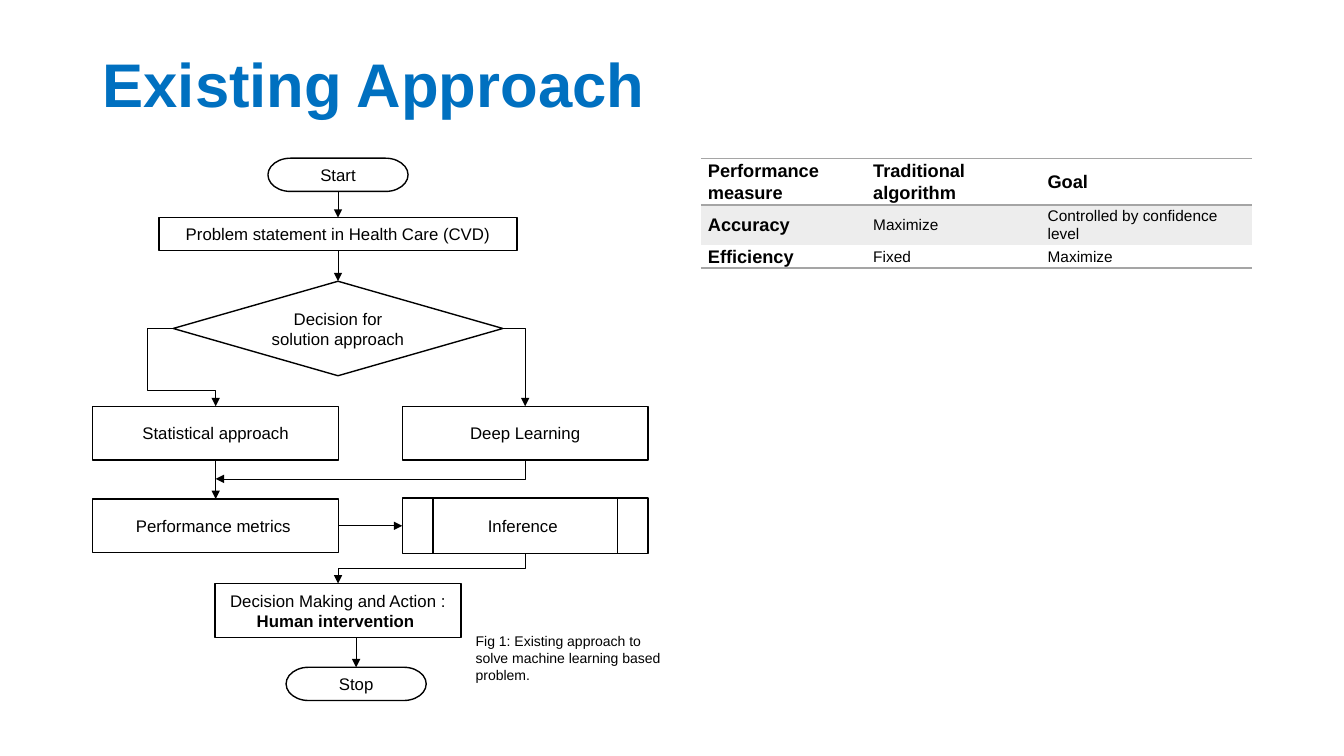
from lxml import etree
from pptx import Presentation, util as u
from pptx.dml import color
from pptx.enum import shapes, text
from pptx.oxml import ns

KIND = shapes.MSO_SHAPE
TOP, LEFT, BOTTOM, RIGHT = range(4)
SITES = {TOP: (0.5, 0), LEFT: (0, 0.5), BOTTOM: (0.5, 1), RIGHT: (1, 0.5)}


def rgb(value):
    return color.RGBColor.from_string(value)


def sub(parent, tag, **attrs):
    return etree.SubElement(parent, ns.qn(tag), attrs)


class Slide:
    font, ink, accent, rule, band = "Arial", "000000", "0070C0", "A5A5A5", "EDEDED"

    def __init__(self, prs):
        self.prs = prs
        self.s = prs.slides.add_slide(prs.slide_layouts[6])

    def x(self, share):
        return round(self.prs.slide_width * share / 100)

    def y(self, share):
        return round(self.prs.slide_height * share / 100)

    def box(self, left, top, width, height):
        return self.x(left), self.y(top), self.x(width), self.y(height)

    def add_runs(self, tf, runs, size, bold=False, tint=None, align=None, spacing=None):
        tf.word_wrap = True
        p = tf.paragraphs[0]
        p.alignment = align
        p.line_spacing = spacing
        for i, words in enumerate(runs):
            r = p.add_run()
            r.text = words
            r.font.name, r.font.size = self.font, u.Pt(size)
            r.font.bold = bold or i > 0
            r.font.color.rgb = rgb(tint or self.ink)

    def label(self, area, words, size, middle=False, **style):
        tf = self.s.shapes.add_textbox(*self.box(*area)).text_frame
        tf.vertical_anchor = text.MSO_ANCHOR.MIDDLE if middle else text.MSO_ANCHOR.TOP
        self.add_runs(tf, [words], size, **style)

    def step(self, kind, center, top, width, height, *runs):
        area = self.box(center - width / 2, top, width, height)
        sp = self.s.shapes.add_shape(kind, *area)
        sp.shadow.inherit = False
        sp.fill.background()
        sp.line.color.rgb, sp.line.width = rgb(self.ink), u.Pt(1)
        sp.text_frame.vertical_anchor = text.MSO_ANCHOR.MIDDLE
        self.add_runs(sp.text_frame, runs, 12, align=text.PP_ALIGN.CENTER)
        return sp

    def point(self, end):
        sp, site = end
        if isinstance(sp, (int, float)):
            return self.x(sp), self.y(site)
        fx, fy = SITES[site]
        return round(sp.left + sp.width * fx), round(sp.top + sp.height * fy)

    def arrow(self, start, end, bend=None, turn=0, adjust=()):
        (x1, y1), (x2, y2) = self.point(start), self.point(end)
        kind = shapes.MSO_CONNECTOR.ELBOW if bend else shapes.MSO_CONNECTOR.STRAIGHT
        c = self.s.shapes.add_connector(kind, x1, y1, x2, y2)
        for (sp, site), connect in ((start, c.begin_connect), (end, c.end_connect)):
            if not isinstance(sp, (int, float)):
                connect(sp, site)
        c.line.color.rgb, c.line.width = rgb(self.ink), u.Pt(0.5)
        spPr = c._element.spPr
        if bend:
            self.route(c, spPr, (x1, y1, x2, y2), bend, turn, adjust)
        sub(spPr.find(ns.qn("a:ln")), "a:tailEnd", type="triangle")
        sub(spPr, "a:effectLst")

    def route(self, c, spPr, ends, bend, turn, adjust):
        x1, y1, x2, y2 = ends
        w, h = abs(x2 - x1), abs(y2 - y1)
        if turn == 90:
            w, h = h, w
        c.left, c.top = (x1 + x2 - w) // 2, (y1 + y2 - h) // 2
        c.width, c.height = w, h
        xfrm = spPr.find(ns.qn("a:xfrm"))
        for flip in ("flipH", "flipV"):
            xfrm.attrib.pop(flip, None)
            if turn == 180:
                xfrm.set(flip, "1")
        xfrm.set("rot", str(turn * 60000))
        geom = spPr.find(ns.qn("a:prstGeom"))
        geom.set("prst", f"bentConnector{bend}")
        guides = geom.find(ns.qn("a:avLst"))
        for i, share in enumerate(adjust, 1):
            sub(guides, "a:gd", name=f"adj{i}", fmla=f"val {round(share * 100000)}")

    def border(self, cell, side):
        ln = sub(cell._tc.get_or_add_tcPr(), side, w=str(u.Pt(1)))
        sub(sub(ln, "a:solidFill"), "a:srgbClr", val=self.rule)

    def table(self, left, top, widths, heights, rows):
        area = self.box(left, top, sum(widths), sum(heights))
        table = self.s.shapes.add_table(len(rows), len(widths), *area).table
        table.first_row = table.horz_banding = False
        style = table._tbl.tblPr.find(ns.qn("a:tableStyleId"))
        style.text = "{2D5ABB26-0587-4C30-8999-92F81FD0307C}"
        for column, width in zip(table.columns, widths):
            column.width = self.x(width)
        for row, height in zip(table.rows, heights):
            row.height = self.y(height)
        for i, row in enumerate(rows):
            for j, words in enumerate(row):
                self.cell(table.cell(i, j), words, i, j, len(rows) - 1)

    def cell(self, cell, words, i, j, last):
        if i == 0:
            self.border(cell, "a:lnT")
        if i in (0, last):
            self.border(cell, "a:lnB")
        if i % 2:
            cell.fill.solid()
            cell.fill.fore_color.rgb = rgb(self.band)
        else:
            cell.fill.background()
        cell.margin_left = cell.margin_right = u.Inches(0.07)
        cell.margin_top = cell.margin_bottom = 0
        cell.vertical_anchor = text.MSO_ANCHOR.MIDDLE
        head = i == 0 or j == 0
        self.add_runs(cell.text_frame, [words], 13 if head else 11, bold=head, spacing=1.07)


prs = Presentation()
prs.slide_width, prs.slide_height = u.Inches(13.33), u.Inches(7.5)
s = Slide(prs)

s.label((6.9, 4.67, 86.27, 13.87), "Existing Approach", 44, middle=True,
        bold=True, tint=s.accent, spacing=0.9)

west, middle, east, foot = 16.05, 25.15, 39.08, 26.5
wide, tall = 18.3, 7.1
pill = (10.43, 4.4)

start = s.step(KIND.FLOWCHART_TERMINATOR, middle, 20.93, *pill, "Start")
problem = s.step(KIND.FLOWCHART_PROCESS, middle, 28.8, 26.63, 4.3,
                 "Problem statement in Health Care (CVD)")
decision = s.step(KIND.FLOWCHART_DECISION, middle, 37.2, 24.53, 12.5,
                  "Decision for solution approach")
statistical = s.step(KIND.FLOWCHART_PROCESS, west, 53.75, wide, tall, "Statistical approach")
learning = s.step(KIND.FLOWCHART_PROCESS, east, 53.75, wide, tall, "Deep Learning")
metrics = s.step(KIND.FLOWCHART_PROCESS, west, 66, wide, tall, "Performance metrics ")
inference = s.step(KIND.FLOWCHART_PREDEFINED_PROCESS, east, 65.88, wide, 7.34, "Inference ")
action = s.step(KIND.FLOWCHART_PROCESS, middle, 77.2, wide, tall,
                "Decision Making and Action : ", "Human intervention ")
stop = s.step(KIND.FLOWCHART_TERMINATOR, foot, 88.27, *pill, "Stop")

for upper, lower in ((start, problem), (problem, decision), (statistical, metrics)):
    s.arrow((upper, BOTTOM), (lower, TOP))
s.arrow((metrics, RIGHT), (inference, LEFT))
s.arrow((foot, 77.2 + tall), (stop, TOP))
s.arrow((decision, LEFT), (statistical, TOP), bend=4, turn=180, adjust=(-0.6, 0.8))
s.arrow((decision, RIGHT), (learning, TOP), bend=2)
s.arrow((inference, BOTTOM), (action, TOP), bend=3, turn=90)
s.arrow((learning, BOTTOM), (west, 63.35), bend=2, turn=90)

s.table(52.15, 20.93, (12.3, 12.98, 15.75), (5.73, 4.93, 2.93), (
    ("Performance measure", "Traditional algorithm ", "Goal "),
    ("Accuracy", "Maximize", "Controlled by confidence level"),
    ("Efficiency", "Fixed", "Maximize"),
))
s.label((34.66, 83.07, 15.3, 8.13),
        "Fig 1: Existing approach to solve machine learning based problem.", 10)

prs.save("out.pptx")
